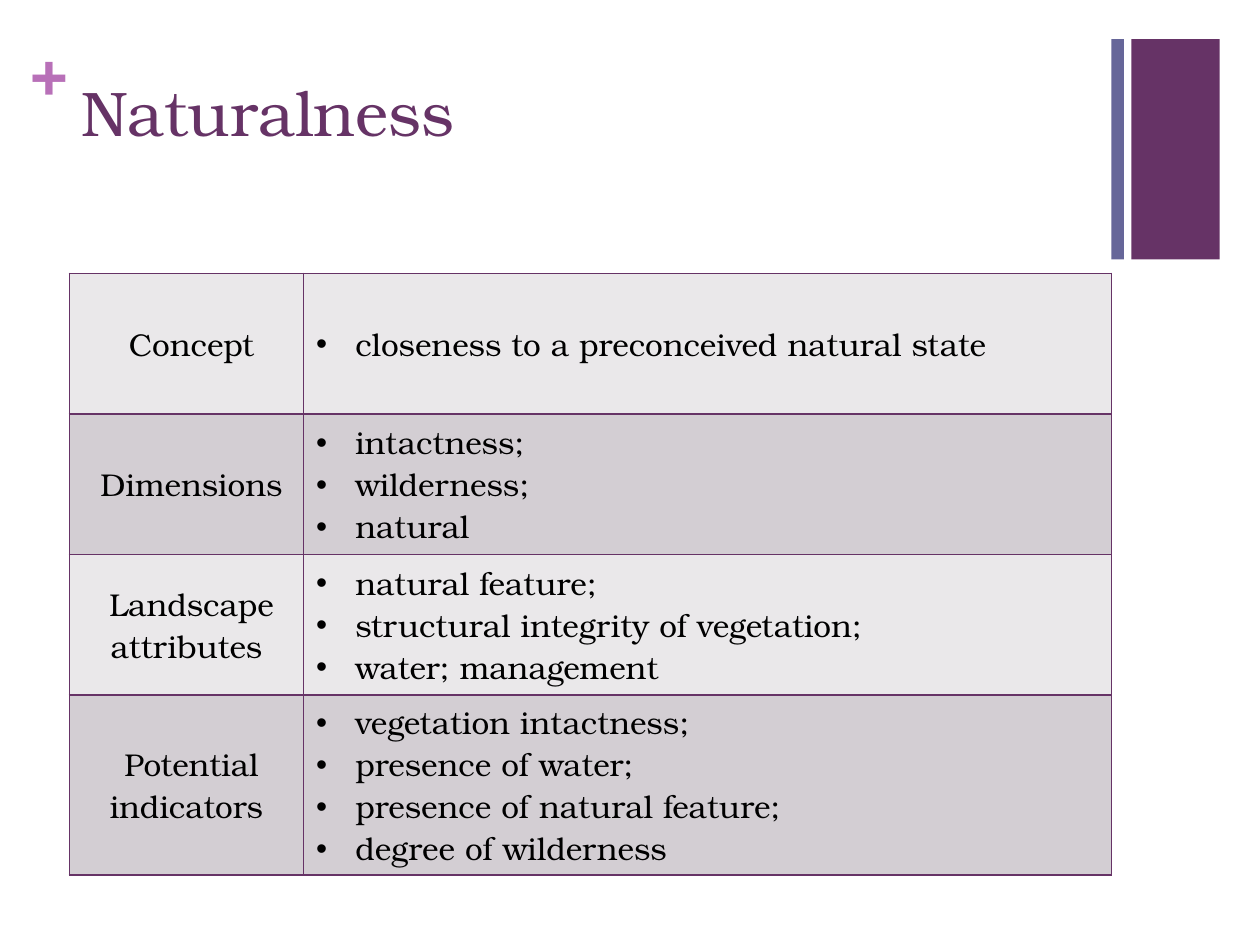
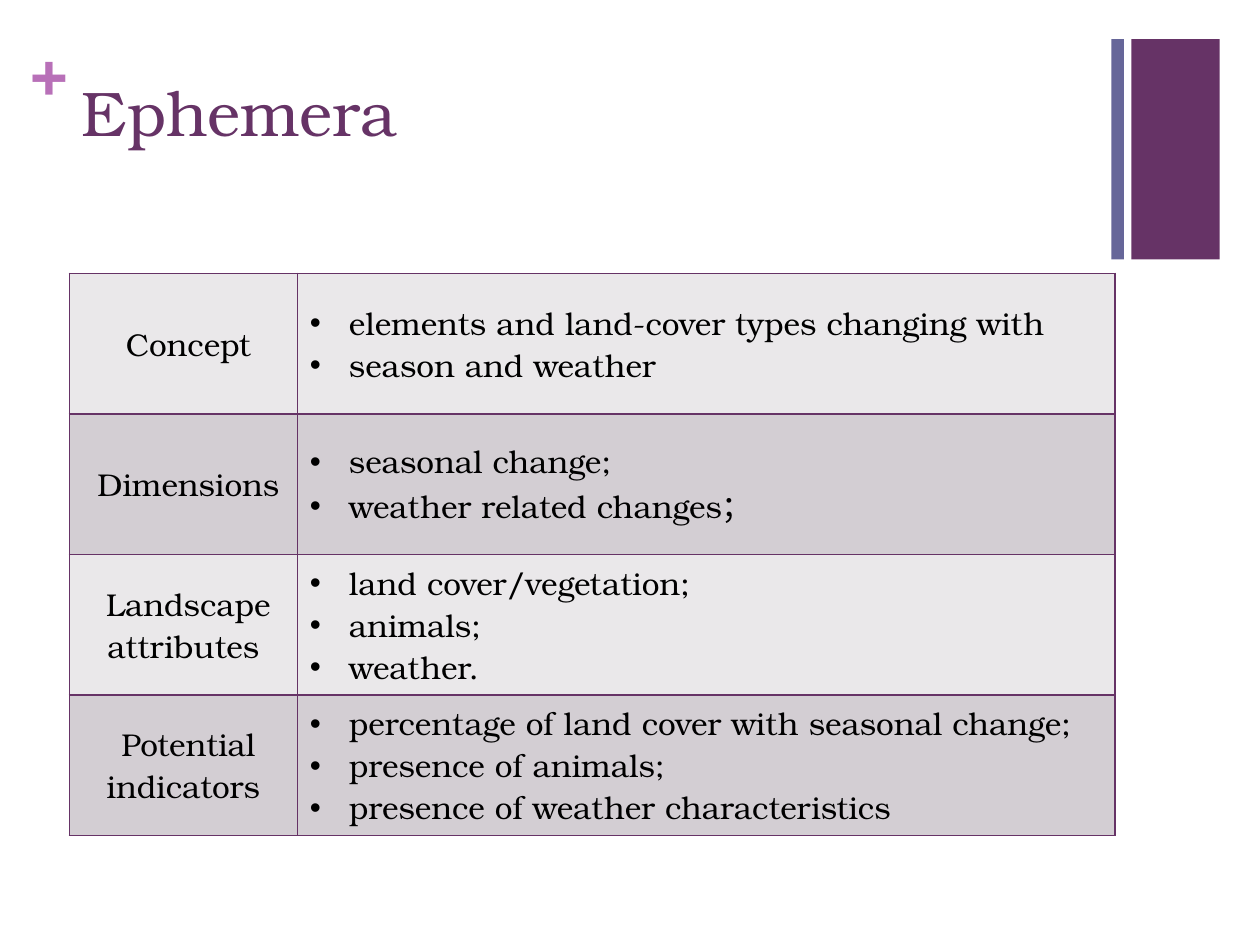
from dataclasses import dataclass

from lxml.etree import SubElement
from pptx import Presentation
from pptx.dml.color import RGBColor
from pptx.enum.shapes import MSO_SHAPE
from pptx.enum.text import MSO_ANCHOR, MSO_AUTO_SIZE, PP_ALIGN
from pptx.oxml.ns import qn
from pptx.util import Inches, Pt

FONT = "TeX Gyre Bonum"
COLORS = {
    "plum": "663366",
    "slate": "666699",
    "orchid": "B870B8",
    "black": "000000",
    "light": "EAE8EA",
    "dark": "D3CED3",
}
ROW_LABELS = ["Concept", "Dimensions", "Landscape attributes", "Potential indicators"]
LEFT = 0.55
ROW_HEIGHT = 4.46 / len(ROW_LABELS)
TALL_ROW_HEIGHT = 1.43
TALL_ROW_ITEMS = 4


@dataclass
class Band:
    left: float
    width: float
    color: str


@dataclass
class Quality:
    title: str
    label_width: float
    items_width: float
    rows: list[list[str]]


BANDS = [Band(8.98, 0.7, "plum"), Band(8.82, 0.1, "slate")]

QUALITIES = [
    Quality("Naturalness", 1.86, 6.41, [
        ["closeness to a preconceived natural state"],
        ["intactness;", "wilderness;", "natural"],
        ["natural feature;", "structural integrity of vegetation;", "water; management"],
        ["vegetation intactness;", "presence of water;",
         "presence of natural feature;", "degree of wilderness"],
    ]),
    Quality("Ephemera", 1.81, 6.49, [
        ["elements and land-cover types changing with", "season and weather"],
        ["seasonal change;", "weather related changes；"],
        ["land cover/vegetation;", "animals;", "weather."],
        ["percentage of land cover with seasonal change;", "presence of animals;",
         "presence of weather characteristics"],
    ]),
]


def rgb(name: str) -> RGBColor:
    return RGBColor.from_string(COLORS[name])


def add_bullet(p) -> None:
    pPr = p._p.get_or_add_pPr()
    pPr.set("marL", str(Inches(0.31)))
    pPr.set("indent", str(-Inches(0.31)))
    SubElement(pPr, qn("a:buFont"), typeface="Arial")
    SubElement(pPr, qn("a:buChar"), char="•")


def write(tf, *lines: str, size: int = 18, color: str = "black", bold: bool = False,
          align=PP_ALIGN.LEFT, bullet: bool = False) -> None:
    for i, line in enumerate(lines):
        p = tf.add_paragraph() if i else tf.paragraphs[0]
        p.alignment = align
        if bullet:
            add_bullet(p)
        r = p.add_run()
        r.text = line
        r.font.name, r.font.size, r.font.bold = FONT, Pt(size), bold
        r.font.color.rgb = rgb(color)


def add_border(cell) -> None:
    tcPr = cell._tc.get_or_add_tcPr()
    for side in ("lnL", "lnR", "lnT", "lnB"):
        ln = SubElement(tcPr, qn(f"a:{side}"), w=str(Pt(1)))
        fill = SubElement(ln, qn("a:solidFill"))
        SubElement(fill, qn("a:srgbClr"), val=COLORS["plum"])


def add_frame(slide, title: str) -> None:
    for band in BANDS:
        sp = slide.shapes.add_shape(MSO_SHAPE.RECTANGLE, Inches(band.left), Inches(0.31),
                                    Inches(band.width), Inches(1.75))
        sp.shadow.inherit = False
        sp.fill.solid()
        sp.fill.fore_color.rgb = rgb(band.color)
        sp.line.fill.background()

    plus = slide.shapes.add_textbox(Inches(0.24), Inches(0.25), Inches(0.29), Inches(0.61))
    tf = plus.text_frame
    tf.margin_left = tf.margin_right = tf.margin_top = tf.margin_bottom = 0
    write(tf, "+", size=36, color="orchid", bold=True)

    sp = slide.shapes.title
    sp.left, sp.top, sp.width, sp.height = Inches(LEFT), Inches(0.53), Inches(8.26), Inches(1.22)
    tf = sp.text_frame
    tf.auto_size = MSO_AUTO_SIZE.NONE
    tf.vertical_anchor = MSO_ANCHOR.TOP
    write(tf, title, size=36, color="plum")


def add_quality_table(slide, quality: Quality) -> None:
    widths = [quality.label_width, quality.items_width]
    heights = [TALL_ROW_HEIGHT if len(items) >= TALL_ROW_ITEMS else ROW_HEIGHT
               for items in quality.rows]
    table = slide.shapes.add_table(len(heights), len(widths), Inches(LEFT), Inches(2.17),
                                   Inches(sum(widths)), Inches(sum(heights))).table
    table.first_row = table.horz_banding = False
    for column, width in zip(table.columns, widths):
        column.width = Inches(width)
    for i, (label, items) in enumerate(zip(ROW_LABELS, quality.rows)):
        row = table.rows[i]
        row.height = Inches(heights[i])
        label_cell, items_cell = row.cells
        for cell in (label_cell, items_cell):
            add_border(cell)
            cell.fill.solid()
            cell.fill.fore_color.rgb = rgb("dark" if i % 2 else "light")
            cell.vertical_anchor = MSO_ANCHOR.MIDDLE
        write(label_cell.text_frame, f" {label}", align=PP_ALIGN.CENTER)
        write(items_cell.text_frame, *items, bullet=True)


def main() -> None:
    prs = Presentation()
    prs.slide_width, prs.slide_height = Inches(10), Inches(7.5)
    title_only = prs.slide_layouts[5]
    for quality in QUALITIES:
        slide = prs.slides.add_slide(title_only)
        add_frame(slide, quality.title)
        add_quality_table(slide, quality)
    prs.save("out.pptx")


if __name__ == "__main__":
    main()
